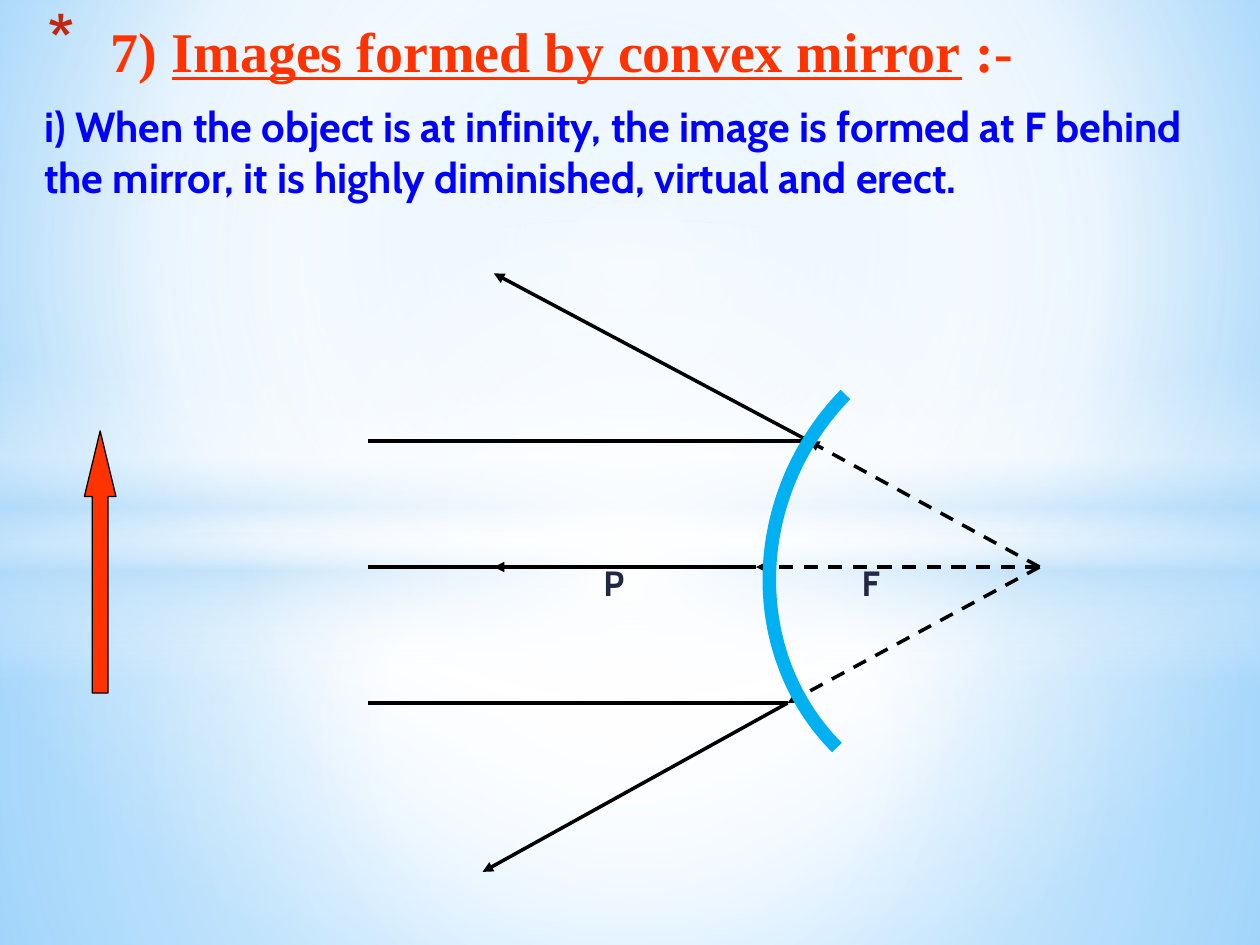
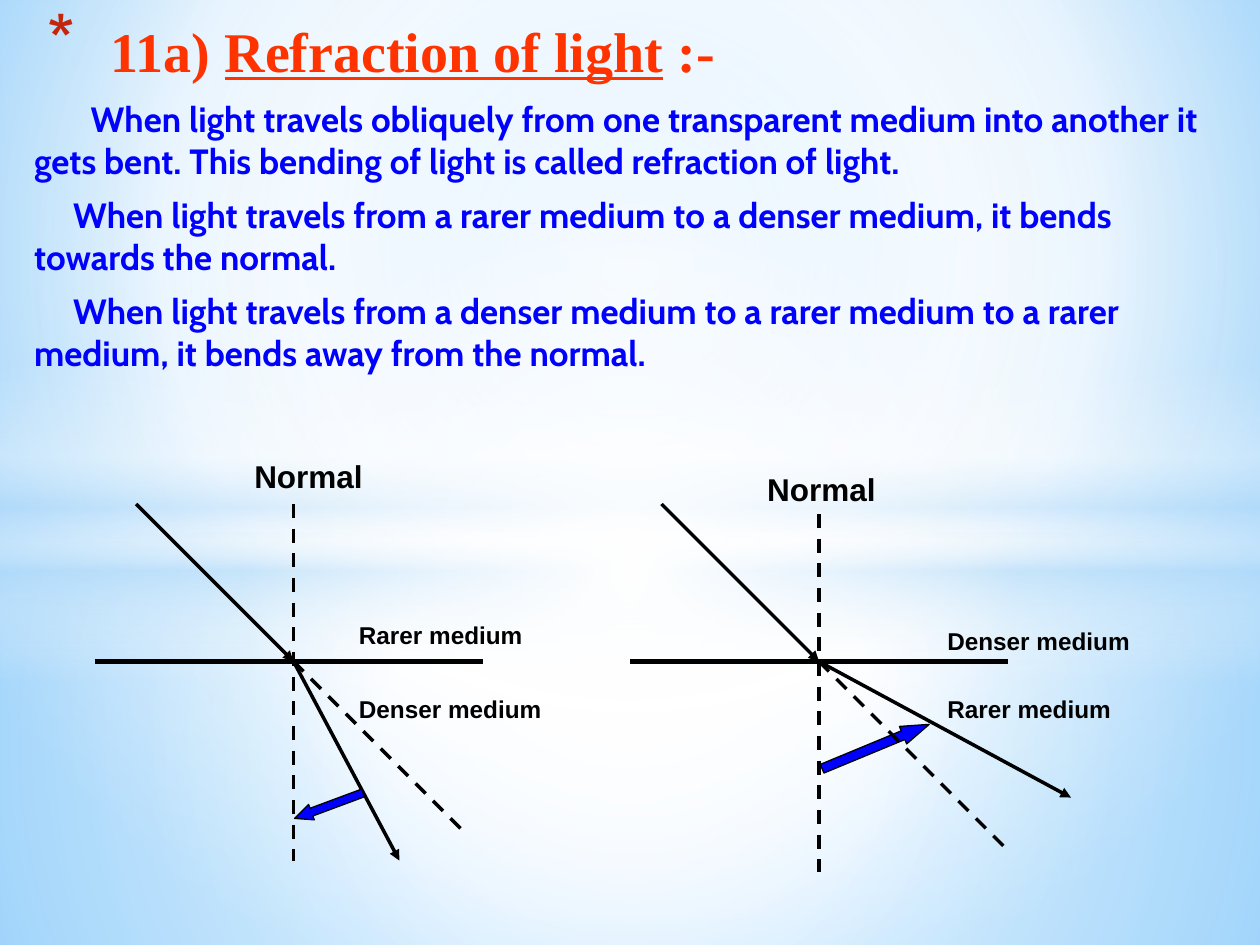
"""Build two slides on convex mirrors and the refraction of light."""
import dataclasses

import lxml.etree
import pptx
import pptx.dml.color
import pptx.enum.dml
import pptx.enum.shapes
import pptx.enum.text
import pptx.oxml
import pptx.oxml.ns
import pptx.util

Inches = pptx.util.Inches
Pt = pptx.util.Pt
Shape = pptx.enum.shapes.MSO_SHAPE
qn = pptx.oxml.ns.qn


@dataclasses.dataclass(frozen=True)
class Theme:
    """Hold colours, fonts and type sizes."""
    red: str = "FF3300"
    bullet: str = "C3260C"
    blue: str = "0000FF"
    navy: str = "212745"
    mirror: str = "00B0F0"
    black: str = "000000"
    white: str = "FFFFFF"
    haze: str = "B4DCFA"
    sky: str = "9ED5FF"
    deep_sky: str = "5BB9FF"
    title_font: str = "Times New Roman"
    body_font: str = "Cabin"
    label_font: str = "Arial"
    title: int = 32
    lead: int = 24
    body: int = 20
    label: int = 18


def rgb(color):
    """Turn a hex string into a colour."""
    return pptx.dml.color.RGBColor.from_string(color)


def child(parent, tag, **attrs):
    """Append one drawing element."""
    return lxml.etree.SubElement(parent, qn(tag), {k: str(v) for k, v in attrs.items()})


class Deck:
    """Draw styled elements on the current slide."""

    def __init__(self, theme):
        """Start an empty 4:3 presentation."""
        self.t = theme
        self.prs = pptx.Presentation()
        self.prs.slide_width, self.prs.slide_height = Inches(10), Inches(7.5)
        self.layout = self.prs.slide_layouts[0]
        self.s = None

    def slide(self):
        """Open a new slide."""
        self.s = self.prs.slides.add_slide(self.layout)

    def gradient(self, fill, element, stops, to=None):
        """Give a fill a circular gradient, or a vertical one without a focus."""
        fill.solid()
        solid = element.find(".//" + qn("a:solidFill"))
        grad = lxml.etree.Element(qn("a:gradFill"), rotWithShape="1")
        stop_list = child(grad, "a:gsLst")
        for pos, color, alpha in stops:
            stop = child(stop_list, "a:gs", pos=pos * 1000)
            clr = child(stop, "a:srgbClr", val=color)
            if alpha < 100:
                child(clr, "a:alpha", val=alpha * 1000)
        if to:
            ring = child(grad, "a:path", path="circle")
            child(ring, "a:fillToRect", **{k: v * 1000 for k, v in zip("ltrb", to)})
        else:
            child(grad, "a:lin", ang=90 * 60000, scaled=0)
        solid.getparent().replace(solid, grad)

    def backdrop(self):
        """Put the sky background and its glowing bands on the shared layout."""
        t, middle = self.t, (50, 50, 50, 50)
        self.gradient(self.layout.background.fill, self.layout.element,
                      [(0, t.sky, 100), (60, t.white, 100), (100, t.deep_sky, 100)],
                      (20, 10, 20, 60))
        bands = [
            (Shape.RECTANGLE, 4.23, 3.27, middle,
             [(0, t.white, 91), (37, t.white, 76), (100, t.haze, 79)]),
            (Shape.RECTANGLE, 0, 4.23, middle,
             [(0, t.white, 89), (48, t.white, 62), (100, t.haze, 79)]),
            (Shape.RECTANGLE, 2.9, 2.5, None,
             [(0, t.white, 0), (29, t.white, 30), (45, t.haze, 40),
              (55, t.white, 26), (65, t.haze, 60), (100, t.white, 0)]),
            (Shape.OVAL, 1.75, 5.58, middle, [(0, t.white, 100), (54, t.white, 0)]),
        ]
        for kind, top, height, to, stops in bands:
            sp = self.shape(kind, 0, top, 10, height)
            self.gradient(sp.fill, sp.element, stops, to)
            self.layout.shapes.element.append(sp.element)

    def place(self, sp, left, top, width, height):
        """Move a shape."""
        sp.left, sp.top = Inches(left), Inches(top)
        sp.width, sp.height = Inches(width), Inches(height)

    def run(self, p, text, font, size, color, underline=None):
        """Add one bold run."""
        r = p.add_run()
        r.text = text
        r.font.name, r.font.size, r.font.bold = font, Pt(size), True
        r.font.underline = underline
        r.font.color.rgb = rgb(color)
        return r

    def frame(self, sp):
        """Prepare a placeholder frame for top-aligned text."""
        tf = sp.text_frame
        tf.word_wrap = True
        tf.auto_size = pptx.enum.text.MSO_AUTO_SIZE.NONE
        tf.vertical_anchor = pptx.enum.text.MSO_ANCHOR.TOP
        return tf

    def title(self, number, topic):
        """Fill the title with a starred, underlined topic."""
        t, sp = self.t, self.s.shapes.title
        self.place(sp, 0.08, 0.08, 9.67, 0.6)
        p = self.frame(sp).paragraphs[0]
        p.alignment = pptx.enum.text.PP_ALIGN.LEFT
        pPr = p._p.get_or_add_pPr()
        pPr.set("marL", str(Inches(0.7)))
        pPr.set("indent", str(Inches(-0.5)))
        child(child(pPr, "a:buClr"), "a:srgbClr", val=t.bullet)
        child(pPr, "a:buSzPct", val=128000)
        child(pPr, "a:buChar", char="*")
        for text, underline in ((number + " ", None), (topic, True), (" :-", False)):
            self.run(p, text, t.title_font, t.title, t.red, underline)

    def body(self, box, size, paragraphs):
        """Fill the body with (first-line indent, text) paragraphs."""
        sp = self.s.placeholders[1]
        self.place(sp, *box)
        tf = self.frame(sp)
        for i, (indent, text) in enumerate(paragraphs):
            p = tf.add_paragraph() if i else tf.paragraphs[0]
            p.alignment = pptx.enum.text.PP_ALIGN.LEFT
            p.space_before, p.space_after = Pt(size * 0.2 if i else 0), Pt(3)
            p._p.get_or_add_pPr().set("indent", str(Inches(indent)))
            self.run(p, text, self.t.body_font, size, self.t.blue)

    def label(self, text, left, top, width, font, size, color, raised=False):
        """Add a one-line caption."""
        sp = self.s.shapes.add_textbox(Inches(left), Inches(top), Inches(width), Inches(0.4))
        sp.text_frame.word_wrap = True
        r = self.run(sp.text_frame.paragraphs[0], text, font, size, color)
        if raised:
            r._r.get_or_add_rPr().set("baseline", "30000")

    def line(self, start, end, width=2, dash=False, arrow=False):
        """Draw a straight ray, axis or surface."""
        ends = [Inches(v) for v in (*start, *end)]
        cx = self.s.shapes.add_connector(pptx.enum.shapes.MSO_CONNECTOR.STRAIGHT, *ends)
        cx.line.width = Pt(width)
        cx.line.color.rgb = rgb(self.t.black)
        if dash:
            cx.line.dash_style = pptx.enum.dml.MSO_LINE.DASH
        if arrow:
            child(cx.line._get_or_add_ln(), "a:tailEnd", type="triangle")
        child(cx.element.spPr, "a:effectLst")

    def shape(self, kind, left, top, width, height, adj=(), rotation=0):
        """Add a preset shape without fill, line or shadow."""
        sp = self.s.shapes.add_shape(kind, Inches(left), Inches(top), Inches(width), Inches(height))
        sp.shadow.inherit = False
        sp.fill.background()
        sp.line.fill.background()
        sp.rotation = rotation
        for i, value in enumerate(adj):
            sp.adjustments[i] = value
        return sp

    def arrow(self, kind, box, adj, color, rotation=0):
        """Add a filled block arrow."""
        sp = self.shape(kind, *box, adj, rotation)
        sp.fill.solid()
        sp.fill.fore_color.rgb = rgb(color)
        sp.line.color.rgb = rgb(self.t.black)
        sp.line.width = Pt(0.75)

    def arc(self, box, adj, rotation, color, width):
        """Add a thick arc."""
        sp = self.shape(Shape.ARC, *box, adj, rotation)
        sp.line.color.rgb = rgb(color)
        sp.line.width = Pt(width)


def convex_mirror(deck):
    """Show parallel rays reflected by a convex mirror."""
    t = deck.t
    deck.title("7)", "Images formed by convex mirror")
    deck.body((0.25, 0.75, 9.58, 1.25), t.lead, [
        (0, "i) When the object is at infinity, the image is formed at F behind the mirror, "
            "it is highly diminished, virtual and erect.")])
    for text, left in (("P", 4.69), ("F", 6.74)):
        deck.label(text, left, 4.41, 0.4, t.body_font, t.body, t.navy)
    deck.arrow(Shape.UP_ARROW, (0.67, 3.42, 0.25, 2.08), (0.5, 2.08), t.red)
    focus = (8.25, 4.5)
    rays = [((6.42, 3.5), (3.92, 2.17)), ((6, 4.5), (3.92, 4.5)), ((6.25, 5.58), (3.83, 6.92))]
    for hit, reflected in rays:
        deck.line((2.92, hit[1]), hit)
        deck.line(focus, hit, dash=True, arrow=True)
        deck.line(hit, reflected, arrow=True)
    deck.arc((6.14, 2.49, 3.73, 3.99), (169.6, 9.4), 210.6, t.mirror, 7.75)


def refraction(deck):
    """Show light bending towards and away from the normal."""
    t = deck.t
    deck.title("11a)", "Refraction of light")
    deck.body((0.17, 0.72, 9.67, 2.6), t.body, [
        (0.45, "When light travels obliquely from one transparent medium into another it gets bent. "
               "This bending of light is called refraction of light."),
        (0.31, "When light travels from a rarer medium to a denser medium, "
               "it bends towards the normal."),
        (0.31, "When light travels from a denser medium to a rarer medium to a rarer medium, "
               "it bends away from the normal.")])
    surface = 5.25
    diagrams = [
        (2.33, (0.75, 3.83), (4, 6.83), (3.17, 6.83), 1.33,
         (1.92, 3.58), 2.75, (("Rarer medium", 4.83), ("Denser medium", 5.42)),
         (2.32, 6.33, 0.58, 0.13), 1.1, 339.6),
        (6.5, (5, 8), (4.08, 6.92), (8.5, 6.33), 1.5,
         (5.99, 3.68), 7.42, (("Denser medium", 4.88), ("Rarer medium", 5.42)),
         (6.49, 5.85, 0.92, 0.15), 1.5, 157.5),
    ]
    for x, edges, normal, bent, reach, caption, media_x, media, bend, head, turn in diagrams:
        hit = (x, surface)
        deck.line((edges[0], surface), (edges[1], surface), width=3)
        deck.line((x - 1.25, surface - 1.25), hit, arrow=True)
        deck.line(hit, bent, arrow=True)
        deck.line((x, normal[0]), (x, normal[1]), dash=True)
        deck.label("Normal", *caption, 1.1, t.label_font, t.label, t.black)
        for text, top in media:
            deck.label(text, media_x, top, 2, t.label_font, t.lead, t.black, raised=True)
        deck.arrow(Shape.LEFT_ARROW, bend, (0.5, head), t.blue, turn)
        deck.line(hit, (x + reach, surface + reach), dash=True)


def main():
    """Build and save the slides."""
    deck = Deck(Theme())
    deck.slide()
    deck.backdrop()
    convex_mirror(deck)
    deck.slide()
    refraction(deck)
    deck.prs.save("out.pptx")


if __name__ == "__main__":
    main()
